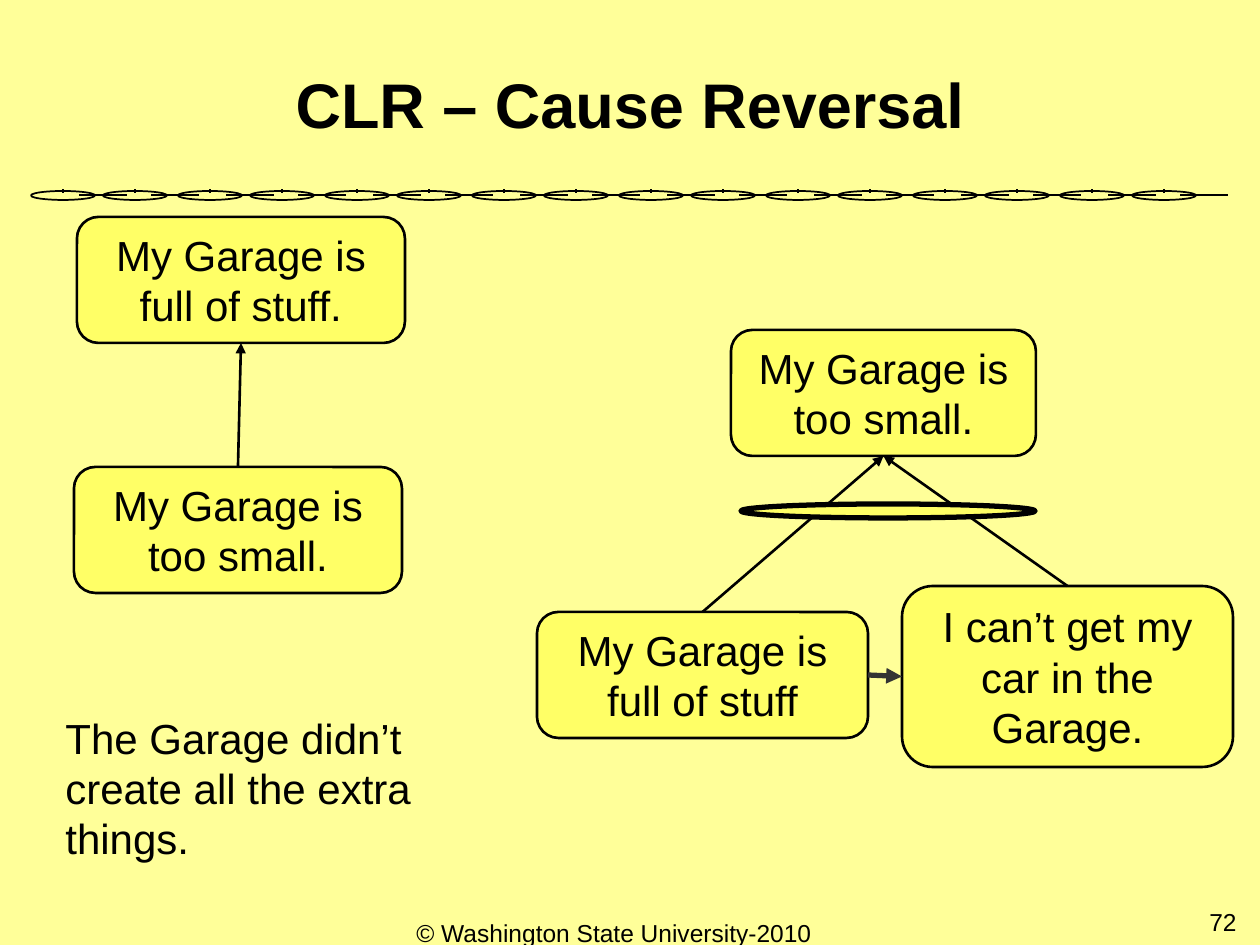
"""Build the cause reversal slide with its two cause-effect trees."""
from lxml import etree
from pptx import Presentation
from pptx.dml.color import RGBColor
from pptx.enum.shapes import MSO_CONNECTOR, MSO_SHAPE
from pptx.enum.text import MSO_ANCHOR, PP_ALIGN
from pptx.oxml.ns import qn
from pptx.util import Pt

ROUNDED, OVAL = MSO_SHAPE.ROUNDED_RECTANGLE, MSO_SHAPE.OVAL
STRAIGHT = MSO_CONNECTOR.STRAIGHT
LEFT, CENTER, RIGHT = PP_ALIGN.LEFT, PP_ALIGN.CENTER, PP_ALIGN.RIGHT
TOP, MIDDLE, BOTTOM = MSO_ANCHOR.TOP, MSO_ANCHOR.MIDDLE, MSO_ANCHOR.BOTTOM
TOP_SIDE, LEFT_SIDE, BOTTOM_SIDE, RIGHT_SIDE = range(4)
EMU_PER_PX = 914400 / 126


def px(*values):
    return [round(v * EMU_PER_PX) for v in values]


def rgb(value):
    return RGBColor.from_string(value)


class Sketch:
    font, ink, paper, box_fill = "Arial", "000000", "FFFF99", "FFFF66"

    def __init__(self, prs):
        self.s = prs.slides.add_slide(prs.slide_layouts[6])
        fill = self.s.background.fill
        fill.solid()
        fill.fore_color.rgb = rgb(self.paper)

    def put_text(self, sp, text, size, align, anchor, bold=False, spacing=None):
        tf = sp.text_frame
        tf.word_wrap = True
        tf.vertical_anchor = anchor
        p = tf.paragraphs[0]
        p.alignment = align
        if spacing:
            p.line_spacing = spacing
        r = p.add_run()
        r.text = text
        r.font.name, r.font.size, r.font.bold = self.font, Pt(size), bold
        r.font.color.rgb = rgb(self.ink)

    def text(self, box, text, size, align=LEFT, anchor=TOP, **style):
        sp = self.s.shapes.add_textbox(*px(*box))
        self.put_text(sp, text, size, align, anchor, **style)

    def shape(self, kind, box, width, fill=None):
        sp = self.s.shapes.add_shape(kind, *px(*box))
        sp.shadow.inherit = False
        if fill:
            sp.fill.solid()
            sp.fill.fore_color.rgb = rgb(fill)
        else:
            sp.fill.background()
        sp.line.color.rgb = rgb(self.ink)
        sp.line.width = Pt(width)
        return sp

    def entity(self, box, text):
        sp = self.shape(ROUNDED, box, 1.5, self.box_fill)
        sp.adjustments[0] = 0.17
        self.put_text(sp, text, 24, CENTER, MIDDLE)
        return sp

    def line(self, ends, width, color=None):
        c = self.s.shapes.add_connector(STRAIGHT, *px(*ends))
        c.line.color.rgb = rgb(color or self.ink)
        c.line.width = Pt(width)
        etree.SubElement(c._element.spPr, qn("a:effectLst"))
        return c

    def arrow(self, start, start_side, end, end_side, width=1.5, color=None):
        c = self.line((0, 0, 0, 0), width, color)
        c.begin_connect(start, start_side)
        c.end_connect(end, end_side)
        ln = c._element.spPr.find(qn("a:ln"))
        etree.SubElement(ln, qn("a:tailEnd"), type="triangle")

    def chain(self, left, top, pairs):
        for i in range(pairs):
            for offset in (0, 72):
                x = left + 147 * i + offset
                self.shape(OVAL, (x, top, 64, 9), 1)
                self.line((x + 32, top - 2, x + 32, top + 2), 1)
                self.line((x + 96, top + 4, x + 48, top + 4), 1)


def main():
    prs = Presentation()
    prs.slide_width, prs.slide_height = px(1260, 945)
    sk = Sketch(prs)
    sk.chain(31, 191, 8)
    sk.text((0, 53, 1260, 95), "CLR – Cause Reversal", 36, CENTER, BOTTOM,
            bold=True, spacing=0.9)

    effect = sk.entity((77, 217, 328, 126), "My Garage is full of stuff.")
    cause = sk.entity((74, 467, 328, 126), "My Garage is too small.")
    sk.arrow(cause, TOP_SIDE, effect, BOTTOM_SIDE)
    sk.text((53, 706, 460, 163), "The Garage didn’t create all the extra things.", 24)

    stuff = sk.entity((537, 612, 331, 126), "My Garage is full of stuff")
    small = sk.entity((731, 330, 305, 126), "My Garage is too small.")
    car = sk.entity((902, 586, 331, 181), "I can’t get my car in the Garage.")
    for reason in (stuff, car):
        sk.arrow(reason, TOP_SIDE, small, BOTTOM_SIDE)
    sk.shape(OVAL, (741, 504, 294, 14), 3, sk.box_fill)
    sk.arrow(stuff, RIGHT_SIDE, car, LEFT_SIDE, 3, "333333")

    sk.text((955, 901, 294, 44), "72", 14, RIGHT)
    sk.text((378, 912, 472, 33), "© Washington State University-2010", 14, CENTER)
    prs.save("out.pptx")


if __name__ == "__main__":
    main()
